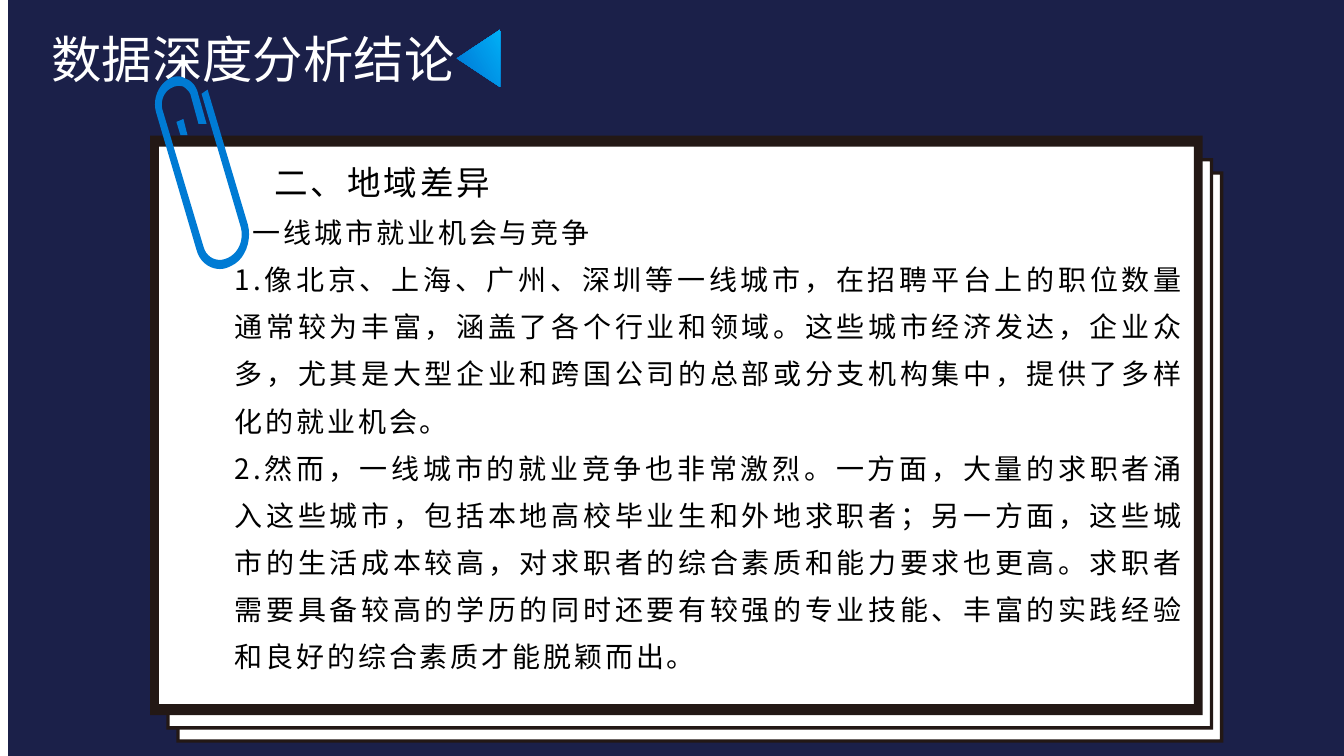
from lxml.etree import SubElement
from pptx import Presentation
from pptx.dml.color import RGBColor
from pptx.enum.shapes import MSO_SHAPE
from pptx.enum.text import PP_ALIGN
from pptx.oxml.ns import qn
from pptx.util import Pt

FONT = "Noto Sans CJK SC"
NAVY = RGBColor(0x1B, 0x20, 0x49)
WHITE = RGBColor(0xFF, 0xFF, 0xFF)
BLACK = RGBColor(0, 0, 0)
INK = RGBColor(0x23, 0x18, 0x15)
CLIP_BLUE = RGBColor(0x00, 0x7B, 0xD4)
BLUE_DARK = RGBColor(0x00, 0x73, 0xD3)
BLUE_LIGHT = RGBColor(0x00, 0xB0, 0xF6)

TITLE = "数据深度分析结论"
# text, size, first-line indent
BODY = [
    ("二、地域差异", 24, 28.4),
    ("一线城市就业机会与竞争", 20, 13),
    ("1.像北京、上海、广州、深圳等一线城市，在招聘平台上的职位数量通常较为丰富，"
     "涵盖了各个行业和领域。这些城市经济发达，企业众多，尤其是大型企业和跨国公司的"
     "总部或分支机构集中，提供了多样化的就业机会。", 20, 0),
    ("2.然而，一线城市的就业竞争也非常激烈。一方面，大量的求职者涌入这些城市，"
     "包括本地高校毕业生和外地求职者；另一方面，这些城市的生活成本较高，对求职者的"
     "综合素质和能力要求也更高。求职者需要具备较高的学历的同时还要有较强的专业技能、"
     "丰富的实践经验和良好的综合素质才能脱颖而出。", 20, 0),
]
# left, top, width, height, side border, top border; back to front
SHEETS = [
    (126, 122.4, 747.8, 408.2, 2.4, 2.4),
    (118.8, 113, 747.8, 408.2, 2.4, 2.4),
    (107.3, 96.8, 751.7, 414, 6.2, 7.9),
]
# two numbers: line to a point; six numbers: curve through two controls
CLIP_START = (157, 192.2)
CLIP_STEPS = [
    (149.8, 192.2, 142.6, 187.2, 140.4, 178.6),
    (111.6, 80.6),
    (108.7, 71.3, 113, 60.5, 121, 56.2),
    (125.3, 54, 128.9, 54, 132.5, 56.2),
    (136.8, 57.6, 139.7, 61.2, 141.1, 65.5),
    (147.6, 88.6), (141.8, 88.6), (136.1, 67.7),
    (135.4, 65.5, 133.2, 63.4, 131, 61.9),
    (128.9, 61.2, 125.3, 61.2, 123.1, 62.6),
    (117.4, 64.8, 114.5, 72, 115.9, 77.8),
    (145.4, 176.4),
    (147.6, 184.3, 155.5, 187.9, 162.7, 184.3),
    (170.6, 180.7, 174.2, 171.4, 172.1, 162.7),
    (144, 67), (148.3, 64.1), (177.1, 160.6),
    (180, 172.1, 175, 185.8, 164.9, 190.1),
    (162, 191.5, 159.8, 192.2, 157, 192.2),
]
CLIP_STUB = [(128.9, 96.5), (126, 87.1), (131, 85), (133.9, 96.5)]
CURVE_PARTS = 10
UNITS_PER_PT = 100


def paint(sp, color):
    sp.shadow.inherit = False
    sp.fill.solid()
    sp.fill.fore_color.rgb = color
    sp.line.fill.background()


def add_rect(shapes, box, color):
    sp = shapes.add_shape(MSO_SHAPE.RECTANGLE, *map(Pt, box))
    paint(sp, color)


def add_outline(shapes, contours, color):
    """Fill closed contours; a contour inside another is a hole."""
    first, *others = [[(x * UNITS_PER_PT, y * UNITS_PER_PT) for x, y in contour]
                      for contour in contours]
    builder = shapes.build_freeform(*first[0], scale=Pt(1) / UNITS_PER_PT)
    builder.add_line_segments(first[1:])
    for contour in others:
        builder.move_to(*contour[0])
        builder.add_line_segments(contour[1:])
    paint(builder.convert_to_shape(), color)


def flatten(start, steps):
    """Turn lines and cubic curves into a list of points."""
    points = [start]
    for step in steps:
        if len(step) == 2:
            points.append(step)
            continue
        knots = [points[-1], step[:2], step[2:4], step[4:]]
        for i in range(1, CURVE_PARTS + 1):
            t = i / CURVE_PARTS
            u = 1 - t
            weights = (u ** 3, 3 * u * u * t, 3 * u * t * t, t ** 3)
            points.append(tuple(sum(w * k[axis] for w, k in zip(weights, knots))
                                for axis in (0, 1)))
    return points


def add_sheet(shapes, left, top, width, height, side, edge):
    right, bottom = left + width, top + height
    add_rect(shapes, (left + side / 2, top + edge / 2, width - side, height - edge), WHITE)
    outer = [(left, top), (right, top), (right, bottom), (left, bottom), (left, top)]
    x1, y1, x2, y2 = left + side, top + edge, right - side, bottom - edge
    hole = [(x1, y1), (x1, y2), (x2, y2), (x2, y1), (x1, y1)]
    add_outline(shapes, [outer, hole], INK)


def add_text(shapes, box):
    tf = shapes.add_textbox(*map(Pt, box)).text_frame
    tf.word_wrap = True
    return tf


def add_run(p, text, size, color):
    r = p.add_run()
    r.text = text
    for name, value in {"name": FONT, "size": Pt(size)}.items():
        setattr(r.font, name, value)
    r.font.color.rgb = color
    rpr = r.font._element
    SubElement(rpr, qn("a:ea")).set("typeface", FONT)
    return rpr


def main():
    prs = Presentation()
    prs.slide_width, prs.slide_height = Pt(960), Pt(540)
    shapes = prs.slides.add_slide(prs.slide_layouts[6]).shapes

    add_rect(shapes, (5.8, 0, 954.2, 540), NAVY)

    tf = add_text(shapes, (29.5, 16.6, 636, 108))
    add_run(tf.paragraphs[0], TITLE, 36, WHITE)

    sp = shapes.add_shape(MSO_SHAPE.ISOSCELES_TRIANGLE, Pt(321.3), Pt(26.2), Pt(41), Pt(31))
    paint(sp, BLUE_DARK)
    sp.rotation = 270
    sp.fill.gradient()
    sp.fill.gradient_angle = 300
    for stop, color in zip(sp.fill.gradient_stops, (BLUE_DARK, BLUE_LIGHT)):
        stop.color.rgb = color

    for sheet in SHEETS:
        add_sheet(shapes, *sheet)
    add_outline(shapes, [CLIP_STUB + CLIP_STUB[:1]], CLIP_BLUE)
    add_outline(shapes, [flatten(CLIP_START, CLIP_STEPS)], CLIP_BLUE)

    tf = add_text(shapes, (160.6, 100.8, 692.6, 393))
    for i, (text, size, indent) in enumerate(BODY):
        p = tf.add_paragraph() if i else tf.paragraphs[0]
        p.alignment = PP_ALIGN.JUSTIFY
        p.line_spacing = 1.4
        if indent:
            p._p.get_or_add_pPr().set("indent", str(Pt(indent)))
        add_run(p, text, size, BLACK).set("spc", "200")

    prs.save("out.pptx")


if __name__ == "__main__":
    main()
